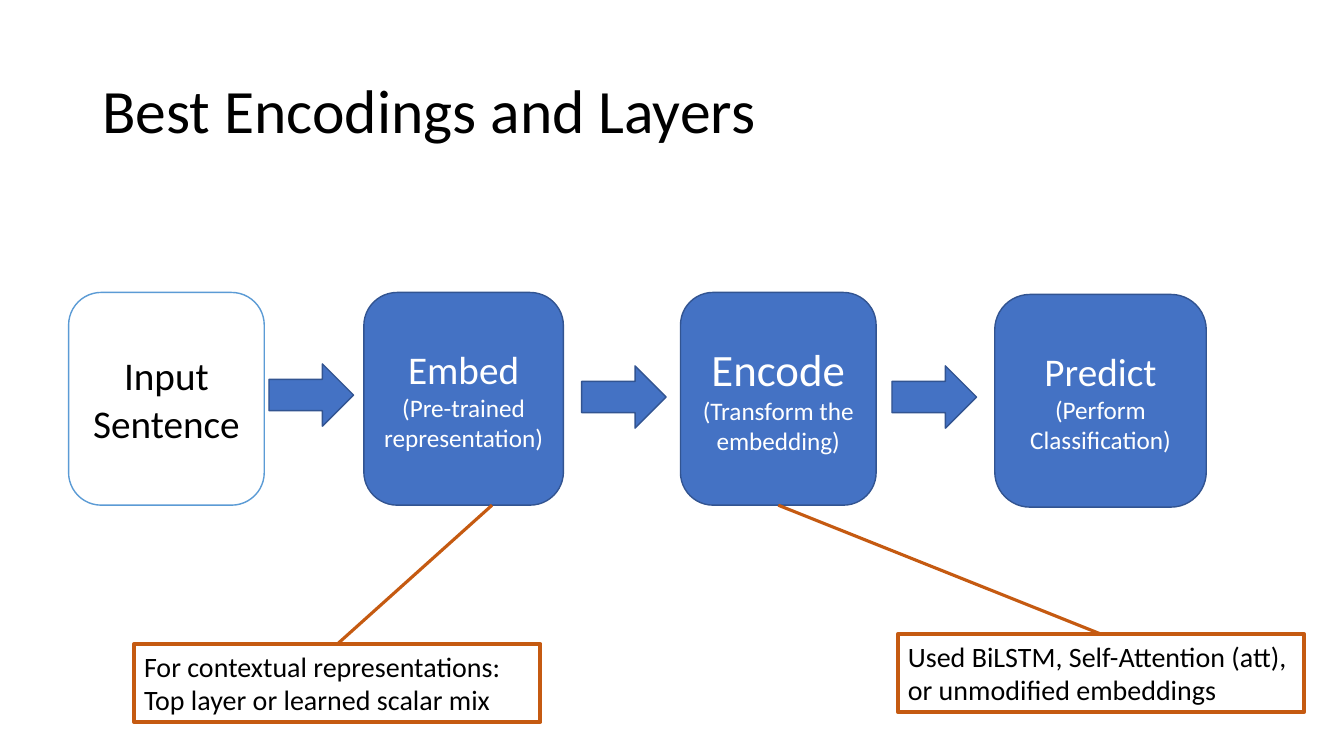
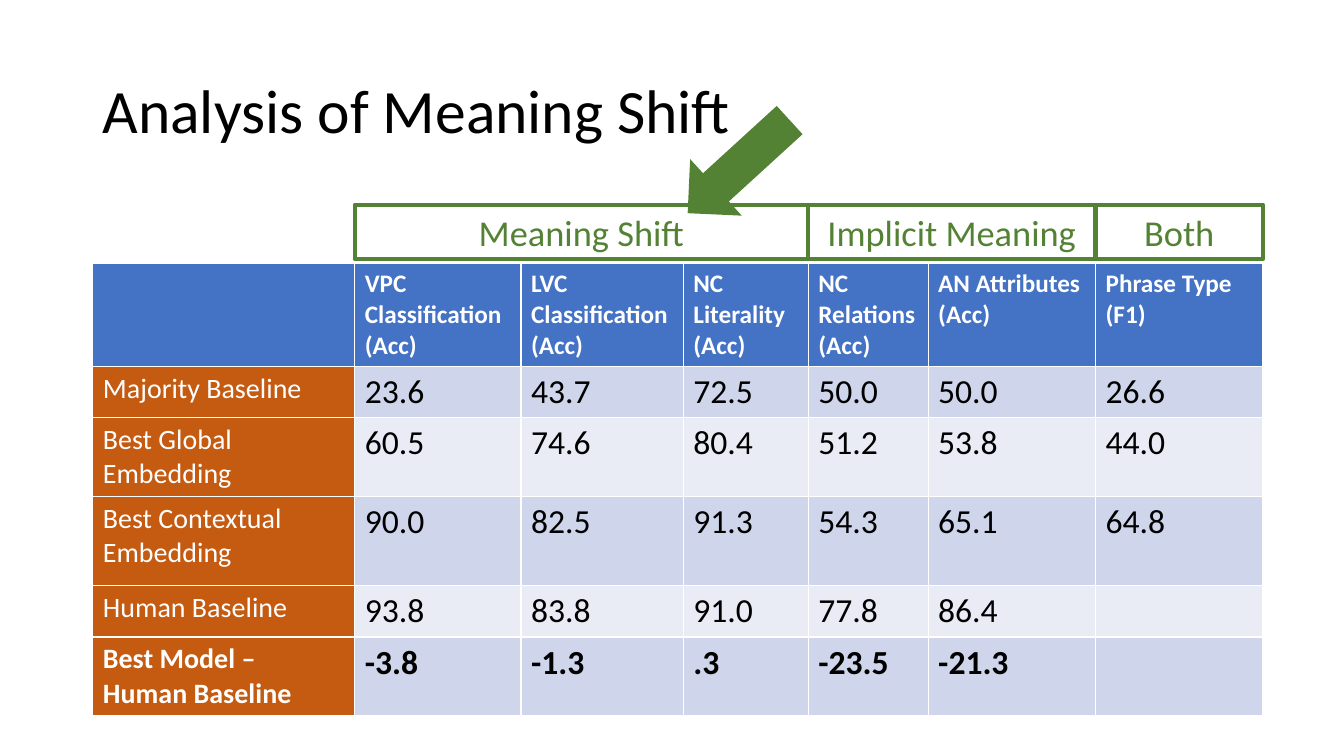
from itertools import accumulate

from lxml.etree import SubElement
from pptx import Presentation
from pptx.dml.color import RGBColor
from pptx.enum.shapes import MSO_CONNECTOR, MSO_SHAPE
from pptx.enum.text import MSO_ANCHOR, MSO_AUTO_SIZE, PP_ALIGN
from pptx.oxml.ns import qn
from pptx.util import Cm, Pt

FONT = "Calibri"
BLACK, WHITE = "000000", "FFFFFF"
BLUE, DARK_BLUE, LIGHT_BLUE = "4472C4", "325491", "5B9BD5"
ORANGE, GREEN = "C55A11", "548235"
ROW_FILLS = ["CFD5EA", "E9EBF5"]
TITLE_BOX = (2.33, 1.01, 29.21, 3.68)

STEPS = [
    (0, 0, 4.93, "Input Sentence", 28),
    (7.44, 0, 5.03, "Embed\n(Pre-trained representation)", 28),
    (15.42, 0, 4.93, "Encode\n(Transform the embedding)", 32),
    (23.34, 0.05, 5.33, "Predict\n(Perform Classification)", 28),
]
STEP_HEIGHT = 5.36
STEP_ARROWS = [(5.05, 1.8), (12.93, 1.85), (20.75, 1.85)]

COLUMN_WIDTHS = [6.6, 4.19, 4.09, 3.15, 3.02, 4.22, 4.22]
ROW_HEIGHTS = [2.59, 1.3, 1.97, 2.24, 1.3, 1.97]
RESULTS = [
    ["", "VPC Classification (Acc)", "LVC Classification (Acc)", "NC Literality (Acc)",
     "NC Relations (Acc)", "AN Attributes (Acc)", "Phrase Type (F1)"],
    ["Majority Baseline", "23.6", "43.7", "72.5", "50.0", "50.0", "26.6"],
    ["Best Global Embedding", "60.5", "74.6", "80.4", "51.2", "53.8", "44.0"],
    ["Best Contextual Embedding", "90.0", "82.5", "91.3", "54.3", "65.1", "64.8"],
    ["Human Baseline", "93.8", "83.8", "91.0", "77.8", "86.4", ""],
    ["Best Model –\nHuman Baseline", "-3.8", "-1.3", ".3", "-23.5", "-21.3", ""],
]
COLUMN_GROUPS = [("Meaning Shift", 1, 4), ("Implicit Meaning", 4, 6), ("Both", 6, 7)]
GROUP_HEIGHT = 1.37


def color(value):
    return RGBColor.from_string(value)


def write(text_frame, text, sizes, font_color, align=PP_ALIGN.LEFT, bold=False):
    text_frame.text = text
    for index, paragraph in enumerate(text_frame.paragraphs):
        paragraph.alignment = align
        for run in paragraph.runs:
            run.font.name = FONT
            run.font.size = Pt(sizes[min(index, len(sizes) - 1)])
            run.font.bold = bold
            run.font.color.rgb = color(font_color)


def add_box(slide, kind, box, fill=None, line=None, line_width=1):
    shape = slide.shapes.add_shape(kind, *(Cm(length) for length in box))
    shape.shadow.inherit = False
    if fill:
        shape.fill.solid()
        shape.fill.fore_color.rgb = color(fill)
    else:
        shape.fill.background()
    if line:
        shape.line.color.rgb = color(line)
        shape.line.width = Pt(line_width)
    else:
        shape.line.fill.background()
    return shape


def add_frame(slide, box, text, size, line, font_color, align):
    frame = add_box(slide, MSO_SHAPE.RECTANGLE, box, line=line, line_width=3)
    frame.text_frame.word_wrap = True
    frame.text_frame.auto_size = MSO_AUTO_SIZE.SHAPE_TO_FIT_TEXT
    frame.text_frame.vertical_anchor = MSO_ANCHOR.TOP
    write(frame.text_frame, text, [size], font_color, align)
    return frame


def add_titled_slide(presentation, text):
    slide = presentation.slides.add_slide(presentation.slide_layouts[5])
    title = slide.shapes.title
    title.left, title.top, title.width, title.height = (Cm(length) for length in TITLE_BOX)
    title.text_frame.auto_size = MSO_AUTO_SIZE.NONE
    title.text_frame.vertical_anchor = MSO_ANCHOR.MIDDLE
    write(title.text_frame, text, [44], BLACK)
    title.text_frame.paragraphs[0].line_spacing = 0.9
    return slide


def add_pipeline(slide, left, top):
    steps = []
    for index, (x, y, width, text, size) in enumerate(STEPS):
        fill, line, font_color = (BLUE, DARK_BLUE, WHITE) if index else (WHITE, LIGHT_BLUE, BLACK)
        step = add_box(slide, MSO_SHAPE.ROUNDED_RECTANGLE,
                       (left + x, top + y, width, STEP_HEIGHT), fill, line)
        step.text_frame.word_wrap = True
        step.text_frame.vertical_anchor = MSO_ANCHOR.MIDDLE
        write(step.text_frame, text, [size, 18], font_color, PP_ALIGN.CENTER)
        steps.append(step)
    for x, y in STEP_ARROWS:
        add_box(slide, MSO_SHAPE.RIGHT_ARROW, (left + x, top + y, 2.13, 1.57), BLUE, DARK_BLUE)
    return steps


def add_note(slide, left, top, text, target, target_step=None):
    note = add_frame(slide, (left, top, 10.24, 1.96), text, 20, ORANGE, BLACK, PP_ALIGN.LEFT)
    x, y = target
    connector = slide.shapes.add_connector(
        MSO_CONNECTOR.STRAIGHT, Cm(left), Cm(top), Cm(x), Cm(y))
    connector.begin_connect(note, 0)
    if target_step is not None:
        connector.end_connect(target_step, 2)
    connector.line.color.rgb = color(ORANGE)
    connector.line.width = Pt(2.25)
    SubElement(connector._element.spPr, qn("a:effectLst"))


def add_results_table(slide, left, top):
    table = slide.shapes.add_table(
        len(ROW_HEIGHTS), len(COLUMN_WIDTHS), Cm(left), Cm(top),
        Cm(sum(COLUMN_WIDTHS)), Cm(sum(ROW_HEIGHTS))).table
    for column, width in zip(table.columns, COLUMN_WIDTHS):
        column.width = Cm(width)
    for row, height in zip(table.rows, ROW_HEIGHTS):
        row.height = Cm(height)
    last_row = len(RESULTS) - 1
    for row_index, values in enumerate(RESULTS):
        for column_index, value in enumerate(values):
            if row_index == 0:
                fill, size, font_color = BLUE, 18, WHITE
            elif column_index == 0:
                fill, size, font_color = ORANGE, 20, WHITE
            else:
                fill, size, font_color = ROW_FILLS[(row_index - 1) % 2], 24, BLACK
            cell = table.cell(row_index, column_index)
            cell.fill.solid()
            cell.fill.fore_color.rgb = color(fill)
            write(cell.text_frame, value, [size], font_color, bold=row_index in (0, last_row))


def add_column_groups(slide, left, top):
    edges = list(accumulate(COLUMN_WIDTHS, initial=left))
    for text, first, end in COLUMN_GROUPS:
        box = (edges[first], top, edges[end] - edges[first], GROUP_HEIGHT)
        add_frame(slide, box, text, 26, GREEN, GREEN, PP_ALIGN.CENTER)


def build_layers_slide(presentation):
    slide = add_titled_slide(presentation, "Best Encodings and Layers")
    encode = add_pipeline(slide, 1.73, 7.37)[2]
    add_note(slide, 22.63, 15.98,
             "Used BiLSTM, Self-Attention (att), or unmodified embeddings", (19.61, 12.73), encode)
    add_note(slide, 3.38, 16.23,
             "For contextual representations:\nTop layer or learned scalar mix", (12.4, 12.73))


def build_analysis_slide(presentation):
    slide = add_titled_slide(presentation, "Analysis of Meaning Shift")
    add_results_table(slide, 2.34, 6.64)
    add_column_groups(slide, 2.34, 5.16)
    pointer = add_box(slide, MSO_SHAPE.DOWN_ARROW, (17.65, 2.46, 1.93, 3.48), GREEN)
    pointer.rotation = 47.6


def main():
    presentation = Presentation()
    presentation.slide_width = Cm(33.87)
    presentation.slide_height = Cm(19.05)
    build_layers_slide(presentation)
    build_analysis_slide(presentation)
    presentation.save("out.pptx")


if __name__ == "__main__":
    main()
